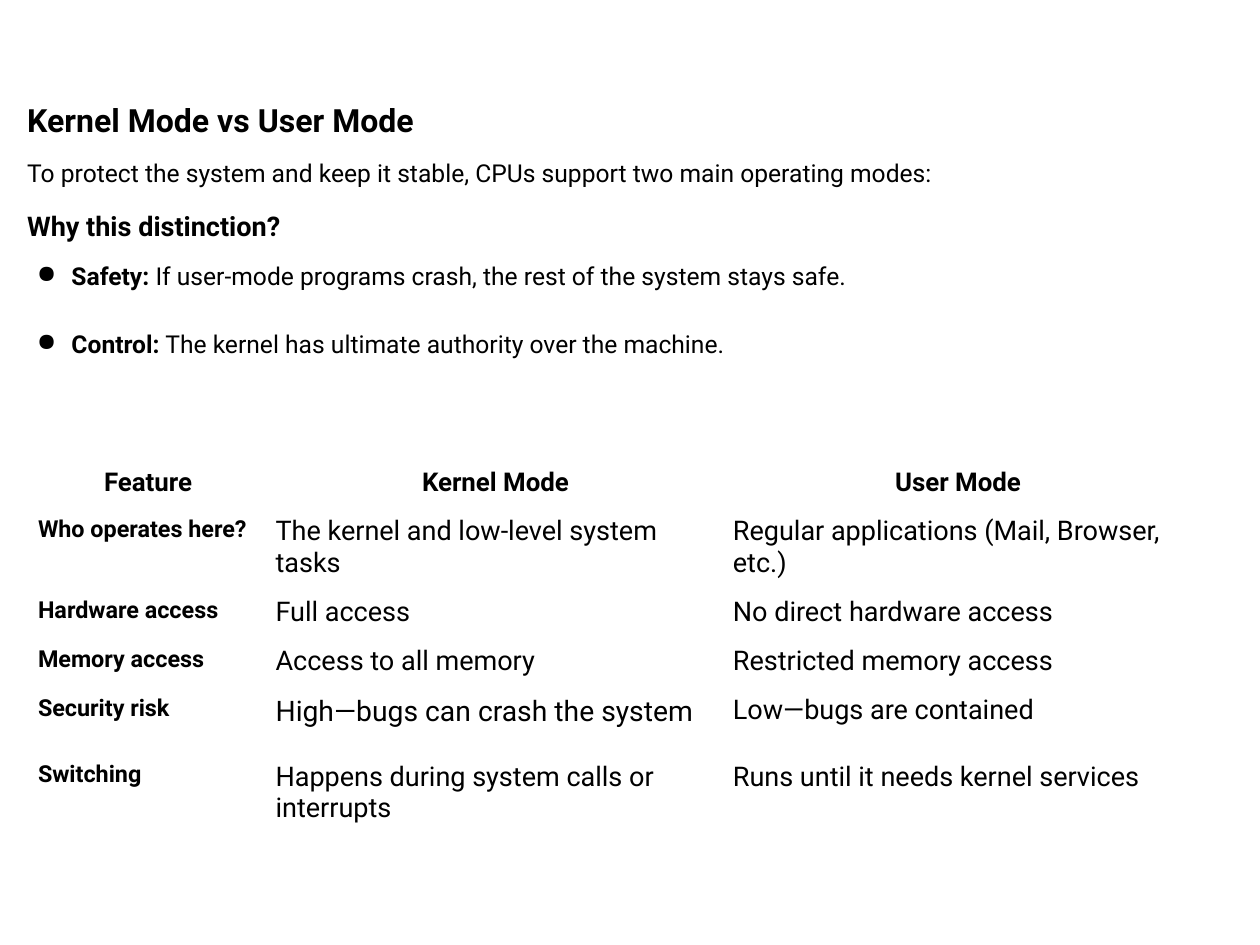
from dataclasses import dataclass

import pptx
import pptx.dml.color
import pptx.enum.text
import pptx.oxml.ns
import pptx.text.text
import pptx.util
from lxml import etree
from pptx.util import Cm

BLACK = pptx.dml.color.RGBColor(0, 0, 0)
FACE = "Roboto"
LEAD = 1.15
PAD = Cm(0.25)
ALIGN = pptx.enum.text.PP_ALIGN
ANCHOR = pptx.enum.text.MSO_ANCHOR


@dataclass
class Line:
    text: str
    size: float
    space: float = 0
    bold: bool = False
    label: str = ""


@dataclass
class Row:
    cells: tuple[str, str, str]
    high: float
    sizes: tuple[float, float, float] = (19, 22, 22)
    head: bool = False


TITLE = Line("Kernel Mode vs User Mode", 26, bold=True)
BODY = [
    Line("To protect the system and keep it stable, CPUs support two main operating modes:", 20),
    Line("Why this distinction?", 22, 14, True),
    Line(" If user-mode programs crash, the rest of the system stays safe.", 20, 12, label="Safety:"),
    Line(" The kernel has ultimate authority over the machine.", 20, 27.6, label="Control:"),
]
ROWS = [
    Row(("Feature", "Kernel Mode", "User Mode"), 1.12, (21, 21, 21), True),
    Row(("Who operates here?", "The kernel and low-level system tasks",
         "Regular applications (Mail, Browser, etc.)"), 1.83),
    Row(("Hardware access", "Full access", "No direct hardware access"), 1.12),
    Row(("Memory access", "Access to all memory", "Restricted memory access"), 1.12),
    Row(("Security risk", "High—bugs can crash the system", "Low—bugs are contained"),
        1.9, (19, 23, 22)),
    Row(("Switching", "Happens during system calls or interrupts",
         "Runs until it needs kernel services"), 4.93),
]
WIDTHS = (6.81, 13.11, 13.41)


def set_font(para: pptx.text.text._Paragraph, size: float, bold: bool) -> None:
    font = para.font
    font.name, font.size, font.bold = FACE, pptx.util.Pt(size), bold
    font.color.rgb = BLACK


def add_dot(para: pptx.text.text._Paragraph) -> None:
    """Give the paragraph a round bullet with a hanging indent."""
    props = para._p.get_or_add_pPr()
    props.set("marL", str(Cm(1.27)))
    props.set("indent", str(Cm(-0.99)))
    tint = etree.SubElement(props, pptx.oxml.ns.qn("a:buClr"))
    etree.SubElement(tint, pptx.oxml.ns.qn("a:srgbClr"), val=str(BLACK))
    etree.SubElement(props, pptx.oxml.ns.qn("a:buChar"), char="●")


def write_line(para: pptx.text.text._Paragraph, line: Line) -> None:
    para.alignment = ALIGN.LEFT
    para.line_spacing = LEAD
    para.space_before = pptx.util.Pt(line.space)
    if line.label:
        add_dot(para)
        label = para.add_run()
        label.text, label.font.bold = line.label, True
    para.add_run().text = line.text
    set_font(para, line.size, line.bold)


def set_frame(frame: pptx.text.text.TextFrame) -> None:
    frame.word_wrap = True
    frame.auto_size = pptx.enum.text.MSO_AUTO_SIZE.NONE
    frame.vertical_anchor = ANCHOR.TOP
    frame.margin_left = frame.margin_right = PAD
    frame.margin_top = frame.margin_bottom = PAD


def add_table(slide: pptx.slide.Slide) -> None:
    total = sum(row.high for row in ROWS)
    table = slide.shapes.add_table(
        len(ROWS), len(WIDTHS), Cm(0.84), Cm(13.03), Cm(sum(WIDTHS)), Cm(total)).table
    table.first_row = table.horz_banding = False
    for col, width in zip(table.columns, WIDTHS):
        col.width = Cm(width)
    for line, row in zip(table.rows, ROWS):
        line.height = Cm(row.high)
        for col, (cell, text, size) in enumerate(zip(line.cells, row.cells, row.sizes)):
            cell.fill.background()
            cell.margin_left = cell.margin_right = PAD
            cell.margin_top = cell.margin_bottom = PAD
            cell.text = text
            para = cell.text_frame.paragraphs[0]
            if row.head:
                para.alignment, para.line_spacing = ALIGN.CENTER, LEAD
            set_font(para, size, row.head or col == 0)


def main() -> None:
    deck = pptx.Presentation()
    deck.slide_width, deck.slide_height = Cm(36.12), Cm(27.1)
    slide = deck.slides.add_slide(deck.slide_layouts[5])
    add_table(slide)

    title = slide.shapes.title
    title.left, title.top, title.width, title.height = Cm(0.53), Cm(2.46), Cm(29.97), Cm(1.69)
    set_frame(title.text_frame)
    write_line(title.text_frame.paragraphs[0], TITLE)

    frame = slide.shapes.add_textbox(Cm(0.53), Cm(4.15), Cm(29.97), Cm(6.4)).text_frame
    set_frame(frame)
    for index, line in enumerate(BODY):
        write_line(frame.add_paragraph() if index else frame.paragraphs[0], line)
    deck.save("out.pptx")


if __name__ == "__main__":
    main()
